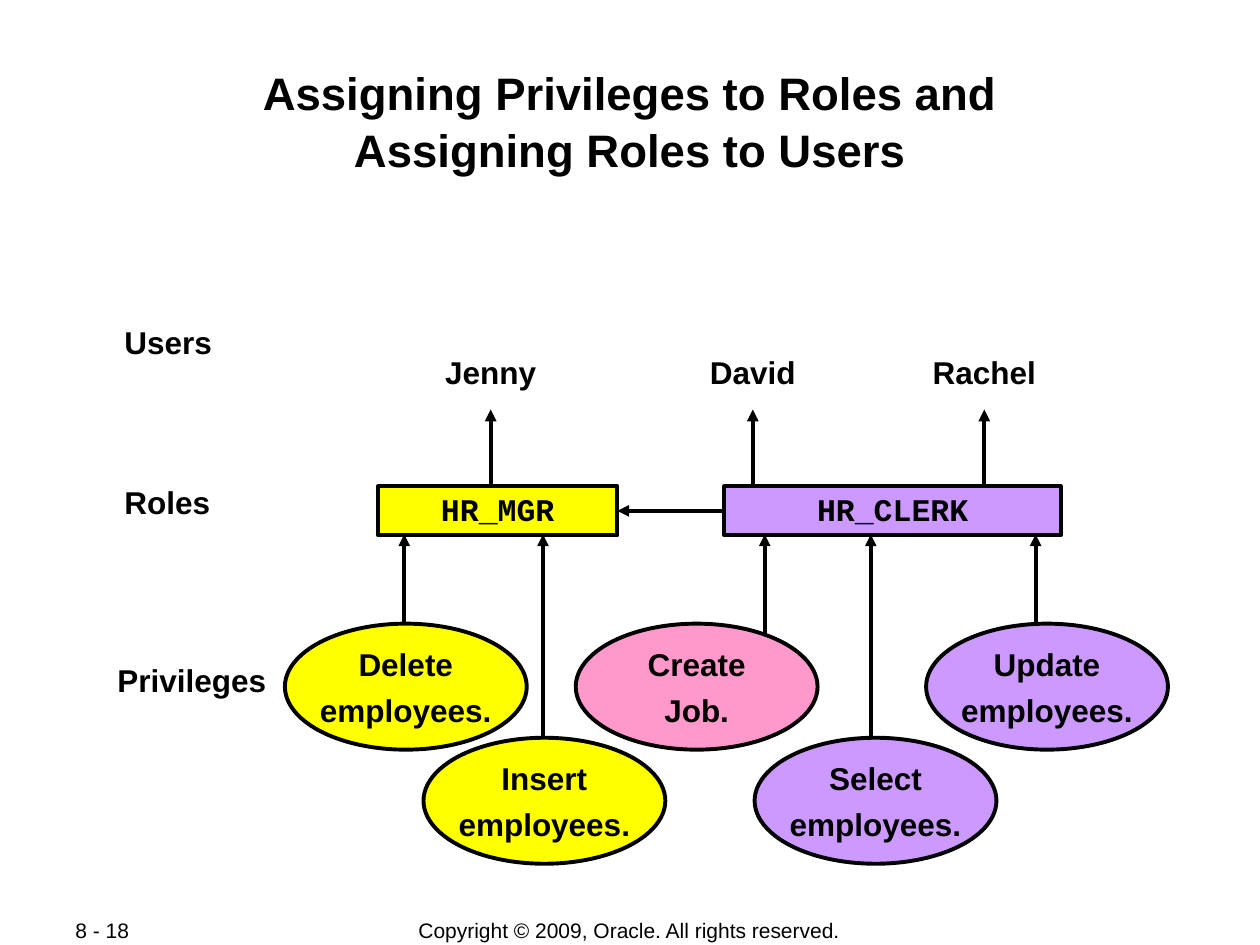
import pptx
import pptx.util
from lxml import etree
from pptx.dml.color import RGBColor
from pptx.enum.shapes import MSO_CONNECTOR, MSO_SHAPE
from pptx.enum.text import MSO_ANCHOR, PP_ALIGN
from pptx.oxml.ns import qn

Pt = pptx.util.Pt
COLORS = {
    "ink": "000000",
    "manager": "FFFF00",
    "clerk": "CC99FF",
    "job": "FF99CC",
    "paper": "FFFFFF",
}
LINE_WIDTH = 2.25


def color(name):
    return RGBColor.from_string(COLORS[name])


def write(shape, lines, size=18, bold=True, font="Arial", align=PP_ALIGN.CENTER,
          anchor=MSO_ANCHOR.MIDDLE, wrap=True, gap=0, spacing=None, insets=None):
    frame = shape.text_frame
    frame.word_wrap = wrap
    frame.vertical_anchor = anchor
    if insets is not None:
        frame.margin_left = frame.margin_right = Pt(insets)
        frame.margin_top = frame.margin_bottom = Pt(insets)
    for index, line in enumerate(lines):
        paragraph = frame.paragraphs[0] if index == 0 else frame.add_paragraph()
        paragraph.text = line
        paragraph.alignment = align
        if index:
            paragraph.space_before = Pt(gap)
        if spacing:
            paragraph.line_spacing = spacing
        paragraph.font.size = Pt(size)
        paragraph.font.bold = bold
        paragraph.font.name = font
        paragraph.font.color.rgb = color("ink")


def add_text(slide, box, text, **style):
    shape = slide.shapes.add_textbox(*map(Pt, box))
    write(shape, [text], **style)


def add_node(slide, preset, box, fill, lines, **style):
    node = slide.shapes.add_shape(preset, *map(Pt, box))
    node.shadow.inherit = False
    node.fill.solid()
    node.fill.fore_color.rgb = color(fill)
    node.line.color.rgb = color("ink")
    node.line.width = Pt(LINE_WIDTH)
    write(node, lines, wrap=False, **style)
    return node


def add_arrow(slide, start, end):
    arrow = slide.shapes.add_connector(
        MSO_CONNECTOR.STRAIGHT, *map(Pt, (*start, *end)))
    arrow.line.color.rgb = color("ink")
    arrow.line.width = Pt(LINE_WIDTH)
    properties = arrow._element.spPr
    etree.SubElement(properties.find(qn("a:ln")), qn("a:tailEnd"), type="triangle")
    etree.SubElement(properties, qn("a:effectLst"))
    return arrow


def add_row_label(slide, left, top, width, text):
    add_text(slide, (left, top, width, 28), text, align=PP_ALIGN.LEFT)


def add_title(slide, box):
    add_text(slide, box, "Assigning Privileges to Roles and\vAssigning Roles to Users",
             size=26, anchor=MSO_ANCHOR.TOP, spacing=1.05, insets=0.7)


def add_users(slide, box):
    left, top, _, height = box
    add_row_label(slide, left + 4, top, 65, "Users")
    width = 90
    for name, offset in (("Jenny", 175.4), ("David", 325.2), ("Rachel", 457.5)):
        name_left = left + offset
        center = name_left + width / 2
        add_text(slide, (name_left, top + 16.6, width, 28.8), name)
        add_arrow(slide, (center, top + height), (center, top + 52.6))


def add_roles(slide, box):
    left, top, _, height = box
    add_row_label(slide, left + 4, top, 64, "Roles")
    roles = (("HR_MGR", 156, 136.8, "manager"), ("HR_CLERK", 354, 192.2, "clerk"))
    manager, clerk = [
        add_node(slide, MSO_SHAPE.RECTANGLE,
                 (left + offset, top + 5, width, height - 5), fill, [role],
                 font="Courier New", spacing=0.95, insets=3.6)
        for role, offset, width, fill in roles
    ]
    grant = add_arrow(slide, (left + 354, top + 19), (left + 292.8, top + 19))
    grant.begin_connect(clerk, 1)
    grant.end_connect(manager, 3)


def add_privileges(slide, box):
    left, top, _, height = box
    add_row_label(slide, left, top + 69, 101.5, "Privileges")
    oval_width, oval_height = 138.2, 72
    upper, lower = 51, height - oval_height
    privileges = (
        (("Delete", "employees."), 102.8, upper, 171, 0, "manager"),
        (("Insert", "employees."), 182, lower, 250.3, 0, "manager"),
        (("Create", "Job."), 269, upper, 377, 18, "job"),
        (("Select", "employees."), 371.2, lower, 437.6, 0, "clerk"),
        (("Update", "employees."), 469.2, upper, 531.8, 0, "clerk"),
    )
    for lines, offset, drop, arrow_offset, depth, fill in privileges:
        arrow_x = left + arrow_offset
        add_arrow(slide, (arrow_x, top + drop + depth), (arrow_x, top))
        add_node(slide, MSO_SHAPE.OVAL,
                 (left + offset, top + drop, oval_width, oval_height),
                 fill, lines, gap=4.5)


def add_footer(slide, box):
    left, top, _, height = box
    style = {"size": 12, "bold": False}
    add_text(slide, (left + 162, top, 323.2, height),
             "Copyright © 2009, Oracle. All rights reserved.", wrap=False, **style)
    add_text(slide, (left, top, 76.3, height), "8 - 18",
             align=PP_ALIGN.LEFT, **style)


def main():
    deck = pptx.Presentation()
    deck.slide_width, deck.slide_height = Pt(720), Pt(540)
    slide = deck.slides.add_slide(deck.slide_layouts[6])
    slide.background.fill.solid()
    slide.background.fill.fore_color.rgb = color("paper")
    add_footer(slide, (36, 524.2, 648, 15))
    add_title(slide, (48, 34.8, 624, 69))
    add_users(slide, (60, 181.4, 620, 96.5))
    add_privileges(slide, (60, 305.4, 620, 188.2))
    add_roles(slide, (60, 272.9, 620, 33.1))
    deck.save("out.pptx")


if __name__ == "__main__":
    main()
